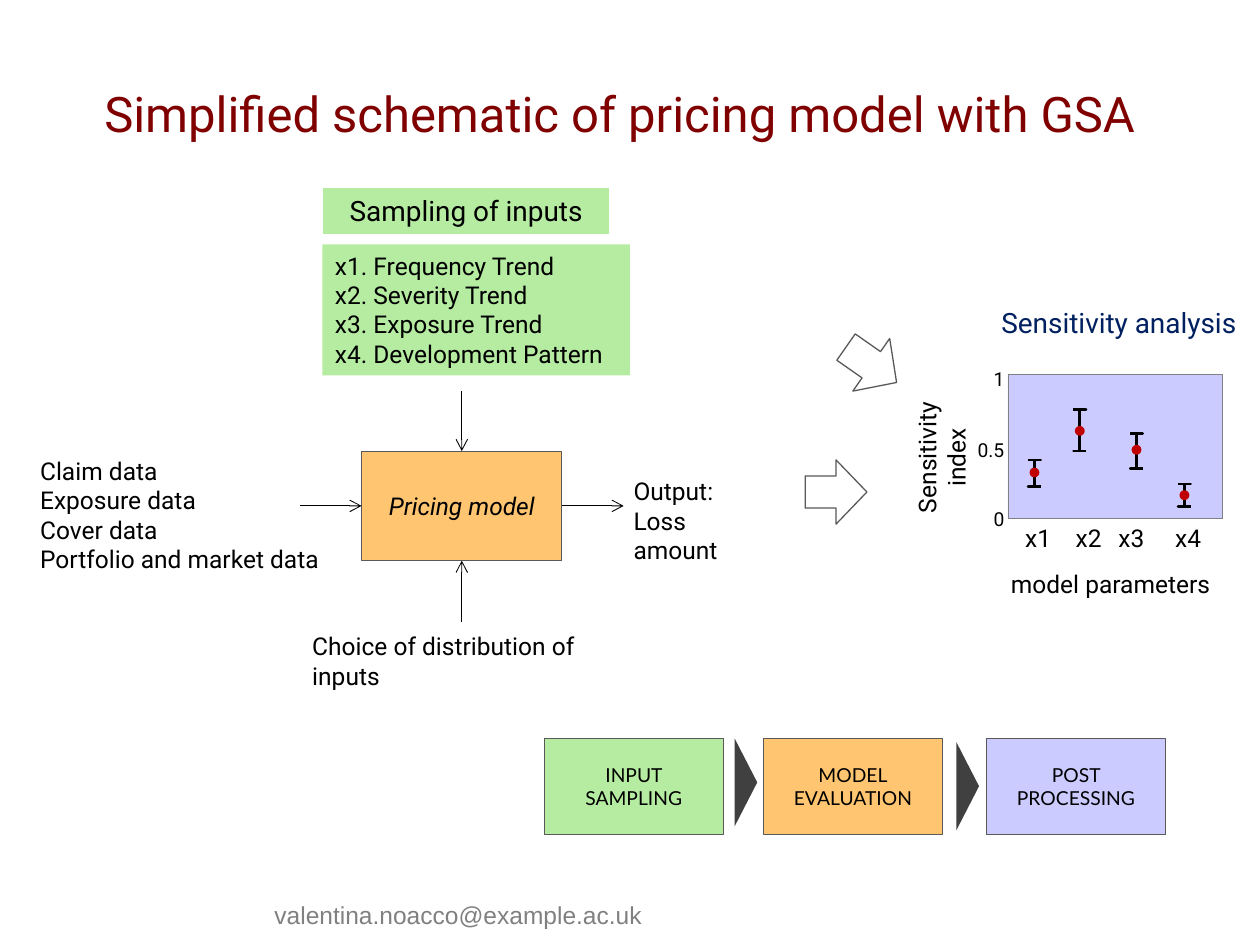
import pptx
import pptx.util
import pptx.dml.color
import pptx.enum.shapes
import pptx.enum.text
import pptx.oxml
import pptx.oxml.ns

Inches, Pt = pptx.util.Inches, pptx.util.Pt
RGB = pptx.dml.color.RGBColor.from_string
SHAPES = pptx.enum.shapes.MSO_SHAPE
ALIGN = pptx.enum.text.PP_ALIGN
ANCHOR = pptx.enum.text.MSO_ANCHOR

COLORS = {
    "text": "000000", "title": "800000", "heading": "002060", "footer": "808080",
    "sampling": "B6ECA2", "model": "FFC571", "post": "CBCBFF",
    "outline": "595959", "plot_line": "808080", "chevron": "404040",
    "point": "C00000", "white": "FFFFFF",
}

deck = pptx.Presentation()
deck.slide_width, deck.slide_height = Inches(10), Inches(7.5)
slide = deck.slides.add_slide(deck.slide_layouts[6])


def write(shape, text, size=14, font="Roboto", color="text", align=ALIGN.LEFT,
          anchor=ANCHOR.TOP, italic=False):
    """Fill a shape with text and format all of its runs alike."""
    frame = shape.text_frame
    frame.word_wrap = True
    frame.vertical_anchor = anchor
    frame.text = text
    for paragraph in frame.paragraphs:
        paragraph.alignment = align
        for run in paragraph.runs:
            run.font.size = Pt(size)
            run.font.name = font
            run.font.italic = italic
            run.font.color.rgb = RGB(COLORS[color])


def add_block(kind, left, top, width, height, fill, line=None, weight=0.5, rotation=0):
    """Add a flat filled shape, outlined only if a line colour is given."""
    block = slide.shapes.add_shape(kind, Inches(left), Inches(top), Inches(width), Inches(height))
    block.shadow.inherit = False
    block.rotation = rotation
    block.fill.solid()
    block.fill.fore_color.rgb = RGB(COLORS[fill])
    if line:
        block.line.color.rgb = RGB(COLORS[line])
        block.line.width = Pt(weight)
    else:
        block.line.fill.background()
    return block


# Plain text: title, footer, model data, sensitivity headings
centred = {"align": ALIGN.CENTER, "anchor": ANCHOR.MIDDLE}
captions = [
    (0.73, 0.27, 8.6, 1.26, "Simplified schematic of pricing model with GSA",
     {"size": 28, "color": "title", "anchor": ANCHOR.MIDDLE}),
    (2.08, 7.09, 3.4, 0.34, "valentina.noacco@example.ac.uk",
     {"font": "Arial", "color": "footer"}),
    (0.22, 3.57, 2.63, 1.28,
     "Claim data\nExposure data\nCover data\nPortfolio and market data", {}),
    (4.93, 3.73, 1.3, 0.8, "Output:\vLoss amount", {}),
    (2.38, 4.96, 2.86, 0.57, "Choice of distribution of inputs", {}),
    (7.75, 4.43, 2.13, 0.4, "model parameters", centred),
    (7.76, 2.42, 2.24, 0.28, "Sensitivity analysis",
     {"size": 16, "color": "heading", **centred}),
]
for left, top, width, height, text, style in captions:
    caption = slide.shapes.add_textbox(Inches(left), Inches(top), Inches(width), Inches(height))
    write(caption, text, **style)

# Sampling of inputs
sampling_title = add_block(SHAPES.RECTANGLE, 2.56, 1.49, 2.28, 0.37, "sampling", "white")
write(sampling_title, "Sampling of inputs", size=16, align=ALIGN.CENTER)
sampled_inputs = add_block(SHAPES.RECTANGLE, 2.56, 1.94, 2.44, 1.04, "sampling")
write(sampled_inputs, "x1. Frequency Trend\nx2. Severity Trend\n"
                      "x3. Exposure Trend\nx4. Development Pattern")

# Pricing model and the arrows joined to its sides
model = add_block(SHAPES.RECTANGLE, 2.87, 3.58, 1.59, 0.87, "model", "outline")
write(model, "Pricing model", italic=True, **centred)
middle_x = model.left + model.width // 2
middle_y = model.top + model.height // 2
flows = [  # side of the model, free end, whether the flow leaves the model
    (0, middle_x, Inches(3.1), False),
    (1, Inches(2.38), middle_y, False),
    (2, middle_x, Inches(4.94), False),
    (3, Inches(4.95), middle_y, True),
]
for side, x, y, outward in flows:
    flow = slide.shapes.add_connector(pptx.enum.shapes.MSO_CONNECTOR.STRAIGHT, x, y, x, y)
    if outward:
        flow.begin_connect(model, side)
    else:
        flow.end_connect(model, side)
    flow.line.color.rgb = RGB(COLORS["text"])
    flow.line.width = Pt(0.5)
    arrowhead = pptx.oxml.parse_xml(
        '<a:tailEnd %s type="arrow"/>' % pptx.oxml.ns.nsdecls("a"))
    flow._element.spPr.get_or_add_ln().append(arrowhead)
    flow._element.spPr.append(
        pptx.oxml.parse_xml("<a:effectLst %s/>" % pptx.oxml.ns.nsdecls("a")))

# Block arrows towards the sensitivity analysis
for left, top, rotation in [(6.39, 3.65, 0), (6.67, 2.64, 35)]:
    add_block(SHAPES.RIGHT_ARROW, left, top, 0.49, 0.51, "white", "outline", 0.75, rotation)

# Process steps
steps = [
    (4.32, "INPUT SAMPLING", "sampling"),
    (6.06, "MODEL\vEVALUATION", "model"),
    (7.83, "POST PROCESSING", "post"),
]
for left, text, fill in steps:
    step = add_block(SHAPES.RECTANGLE, left, 5.86, 1.42, 0.76, fill, "outline", 0.25)
    write(step, text, size=11, font="Lato", **centred)
for left, top in [(5.57, 6.12), (7.33, 6.15)]:
    add_block(SHAPES.ISOSCELES_TRIANGLE, left, top, 0.7, 0.18, "chevron", rotation=90)

# Sensitivity plot: area and axis labels
add_block(SHAPES.RECTANGLE, 8, 2.97, 1.7, 1.14, "post", "plot_line", 0.25)
index_title = slide.shapes.add_textbox(Inches(6.77), Inches(3.38), Inches(1.4), Inches(0.5))
index_title.rotation = 270
write(index_title, "Sensitivity index", **centred)
for text, y in [("1", 3.01), ("0.5", 3.57), ("0", 4.12)]:
    tick = slide.shapes.add_textbox(Inches(7.41), Inches(y - 0.14), Inches(0.66), Inches(0.28))
    write(tick, text, size=11, align=ALIGN.RIGHT, anchor=ANCHOR.MIDDLE)
for text, x in [("x1", 8.24), ("x2", 8.64), ("x3", 8.98), ("x4", 9.43)]:
    tick = slide.shapes.add_textbox(Inches(x - 0.25), Inches(4.1), Inches(0.5), Inches(0.34))
    write(tick, text, **centred)

# Whiskers with their points
cap, dot = 0.05, 0.05
estimates = [  # x, upper bound, lower bound, point
    (8.21, 3.65, 3.86, 3.75),
    (8.57, 3.25, 3.58, 3.42),
    (9.02, 3.44, 3.72, 3.57),
    (9.4, 3.84, 4.02, 3.93),
]
for x, upper, lower, point in estimates:
    outline = [(x - cap, upper), (x + cap, upper), (x, upper),
               (x, lower), (x - cap, lower), (x + cap, lower)]
    corners = [(Inches(a), Inches(b)) for a, b in outline]
    builder = slide.shapes.build_freeform(*corners[0])
    builder.add_line_segments(corners[1:], close=False)
    whisker = builder.convert_to_shape()
    whisker.shadow.inherit = False
    whisker.fill.background()
    whisker.line.color.rgb = RGB(COLORS["text"])
    whisker.line.width = Pt(1.5)
    add_block(SHAPES.OVAL, x - dot / 2, point - dot / 2, dot, dot, "point", "point", 2)

deck.save("out.pptx")
